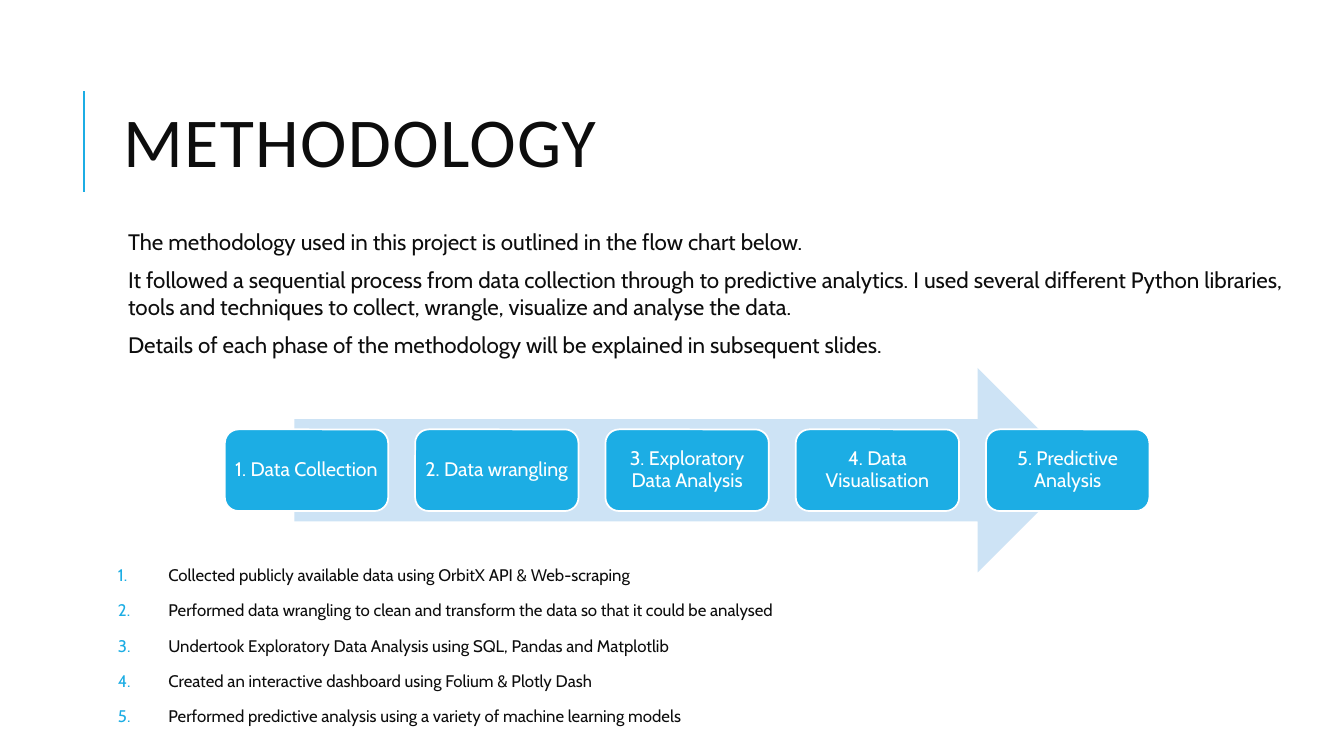
from lxml import etree
from pptx import Presentation
from pptx.dml.color import RGBColor
from pptx.enum.shapes import MSO_CONNECTOR, MSO_SHAPE
from pptx.enum.text import MSO_ANCHOR, MSO_AUTO_SIZE, PP_ALIGN
from pptx.oxml.ns import qn
from pptx.util import Inches, Pt

STRAIGHT = MSO_CONNECTOR.STRAIGHT
ARROW, ROUNDED = MSO_SHAPE.RIGHT_ARROW, MSO_SHAPE.ROUNDED_RECTANGLE
LEFT, CENTER = PP_ALIGN.LEFT, PP_ALIGN.CENTER
TOP, MIDDLE = MSO_ANCHOR.TOP, MSO_ANCHOR.MIDDLE
NO_AUTOFIT = MSO_AUTO_SIZE.NONE

BLUE = RGBColor(0x1C, 0xAD, 0xE4)
PALE_BLUE = RGBColor(0xCD, 0xE3, 0xF5)
INK = RGBColor(0x0D, 0x0D, 0x0D)
WHITE = RGBColor(0xFF, 0xFF, 0xFF)

TWO_CONTENT_LAYOUT = 3
PHASE_LEFT, PHASE_TOP, PHASE_PITCH = 2.23, 4.26, (9.78 - 2.23) / 4

INTRO = [
    "The methodology used in this project is outlined in the flow chart below.",
    "It followed a sequential process from data collection through to predictive analytics. "
    "I used several different Python libraries, tools and techniques to collect, wrangle, "
    "visualize and analyse the data.",
    "Details of each phase of the methodology will be explained in subsequent slides.",
]
PHASES = [
    "1. Data Collection",
    "2. Data wrangling",
    "3. Exploratory Data Analysis",
    "4. Data Visualisation",
    "5. Predictive Analysis",
]
STEPS = [
    "Collected publicly available data using OrbitX API & Web-scraping",
    "Performed data wrangling to clean and transform the data so that it could be analysed",
    "Undertook Exploratory Data Analysis using SQL, Pandas and Matplotlib",
    "Created an interactive dashboard using Folium & Plotly Dash",
    "Performed predictive analysis using a variety of machine learning models",
]

TITLE_FONT = {"name": "Calibri", "size": Pt(50)}
INTRO_FONT = {"name": "Cabin", "size": Pt(16)}
PHASE_FONT = {"name": "Cabin", "size": Pt(14)}
STEP_FONT = {"name": "Cabin", "size": Pt(12)}


def apply(target, values):
    for name, value in values.items():
        setattr(target, name, value)


class MethodologySlide:
    def __init__(self, deck):
        self.page = deck.slides.add_slide(deck.slide_layouts[TWO_CONTENT_LAYOUT])

    def fill_text(self, box, texts, font, color, layout, inset, anchor=TOP, bullet=None):
        frame = box.text_frame
        apply(frame, {"word_wrap": True, "auto_size": NO_AUTOFIT, "vertical_anchor": anchor})
        margins = ("margin_left", "margin_top", "margin_right", "margin_bottom")
        apply(frame, dict.fromkeys(margins, Inches(inset)))
        for index, text in enumerate(texts):
            para = frame.add_paragraph() if index else frame.paragraphs[0]
            if bullet:
                bullet(para)
            apply(para, layout)
            if index == 0:
                para.space_before = Pt(0)
            span = para.add_run()
            span.text = text
            apply(span.font, font)
            span.font.color.rgb = color

    def place(self, index, left, top, width, height):
        box = self.page.placeholders[index]
        apply(box, {"left": Inches(left), "top": Inches(top),
                    "width": Inches(width), "height": Inches(height)})
        return box

    def title(self, text):
        box = self.place(0, 1.12, 0.64, 10.63, 1.64)
        layout = {"alignment": LEFT, "line_spacing": 0.8}
        self.fill_text(box, [text], TITLE_FONT, INK, layout, 0.1, MIDDLE)
        span = box.text_frame.paragraphs[0].runs[0]
        span._r.get_or_add_rPr().set("spc", "100")

    def intro(self, texts):
        def plain(para):
            properties = para._p.get_or_add_pPr()
            properties.set("marL", str(Inches(0.1)))
            properties.set("indent", "0")
            etree.SubElement(properties, qn("a:buNone"))

        box = self.place(1, 1.12, 2.21, 11.83, 1.55)
        layout = {"space_before": Pt(6), "space_after": Pt(2)}
        self.fill_text(box, texts, INTRO_FONT, INK, layout, 0.05, bullet=plain)

    def steps(self, texts):
        def numbered(para):
            properties = para._p.get_or_add_pPr()
            properties.set("marL", str(Inches(0.5)))
            properties.set("indent", str(-Inches(0.5)))
            color = etree.SubElement(properties, qn("a:buClr"))
            etree.SubElement(color, qn("a:srgbClr"), val=str(BLUE))
            etree.SubElement(properties, qn("a:buFont"), typeface="Cabin")
            etree.SubElement(properties, qn("a:buAutoNum"), type="arabicPeriod")

        box = self.place(2, 1.12, 5.51, 10.63, 1.55)
        layout = {"line_spacing": 1.2, "space_before": Pt(6), "space_after": Pt(2)}
        self.fill_text(box, texts, STEP_FONT, INK, layout, 0.05, bullet=numbered)

    def accent_line(self):
        line = self.page.shapes.add_connector(
            STRAIGHT, Inches(0.83), Inches(1.9), Inches(0.83), Inches(0.9))
        line.line.color.rgb = BLUE
        line.line.width = Pt(1.5)
        etree.SubElement(line._element.spPr, qn("a:effectLst"))

    def shape(self, kind, left, top, width, height, fill):
        box = self.page.shapes.add_shape(
            kind, Inches(left), Inches(top), Inches(width), Inches(height))
        box.shadow.inherit = False
        box.fill.solid()
        box.fill.fore_color.rgb = fill
        return box

    def arrow(self):
        self.shape(ARROW, 2.92, 3.65, 7.79, 2.03, PALE_BLUE).line.fill.background()

    def phase(self, index, text):
        left = PHASE_LEFT + index * PHASE_PITCH
        box = self.shape(ROUNDED, left, PHASE_TOP, 1.62, 0.81, BLUE)
        box.line.color.rgb = WHITE
        box.line.width = Pt(1.25)
        layout = {"alignment": CENTER, "line_spacing": 0.9}
        self.fill_text(box, [text], PHASE_FONT, WHITE, layout, 0.05, MIDDLE)


def main():
    deck = Presentation()
    apply(deck, {"slide_width": Inches(13.33), "slide_height": Inches(7.5)})
    slide = MethodologySlide(deck)
    slide.accent_line()
    slide.title("METHODOLOGY")
    slide.intro(INTRO)
    slide.arrow()
    for index, text in enumerate(PHASES):
        slide.phase(index, text)
    slide.steps(STEPS)
    deck.save("out.pptx")


if __name__ == "__main__":
    main()
